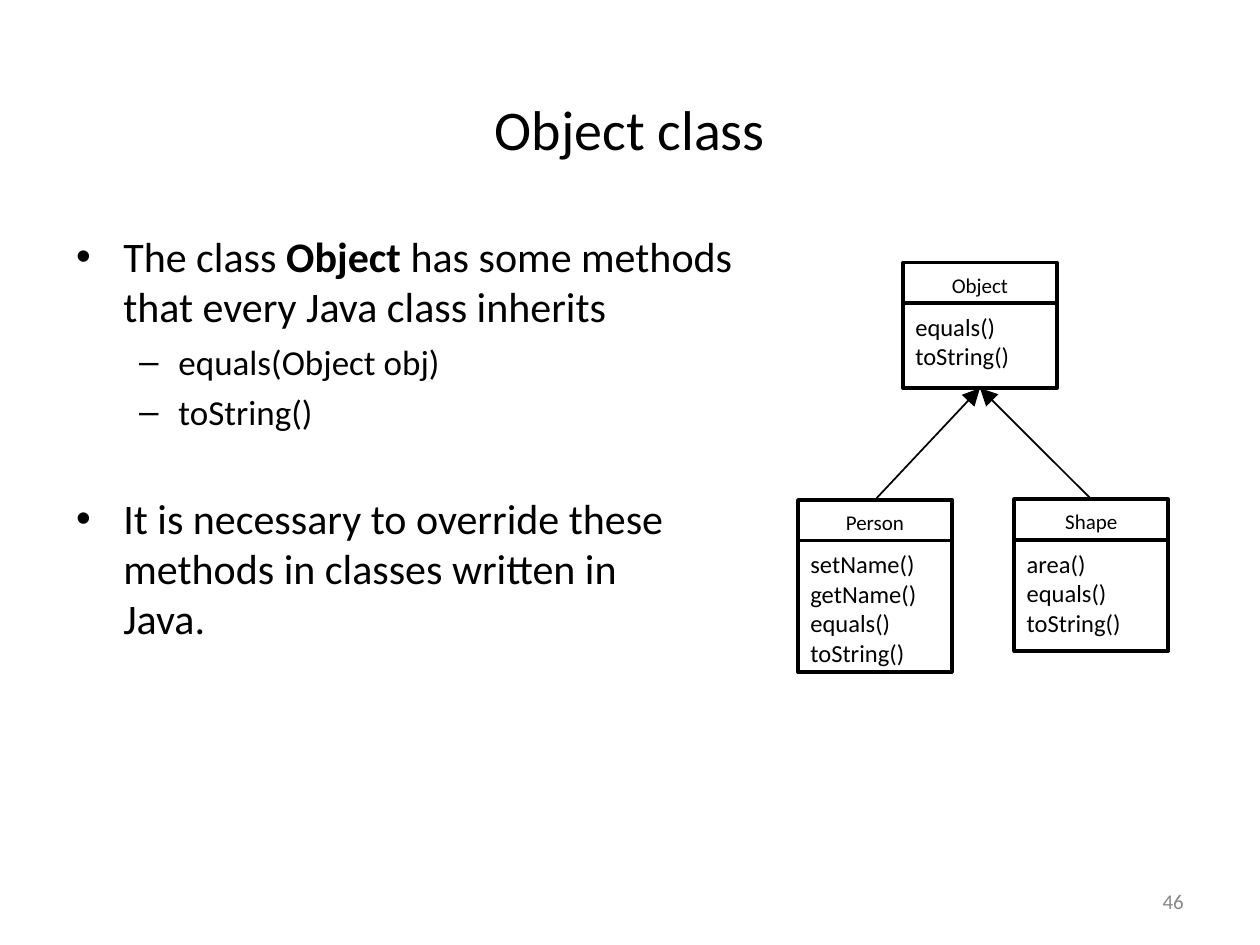
from pptx import Presentation
from pptx.enum import shapes, text
from pptx.oxml.ns import qn
from pptx.util import Pt
from lxml import etree

TITLE = "Object class"
BULLET_BLOCKS = [
    {"box": (42.5, 132, 377, 114), "lines": [
        ("•", "The class *Object* has some methods that every Java class inherits"),
        ("–", "equals(Object obj)"),
        ("–", "toString()"),
    ]},
    {"box": (42.5, 281.5, 355, 86), "lines": [
        ("•", "It is necessary to override these methods in classes written in Java."),
    ]},
]
LEVELS = {
    "•": {"size": 24, "left": 28, "hang": 27, "before": 0, "spacing": Pt(28.7)},
    "–": {"size": 20, "left": 59.5, "hang": 22.5, "before": 5, "spacing": 1.0},
}
CLASSES = {
    "Object": {"at": (516, 150), "height": 48.5, "methods": ["equals()", "toString()"]},
    "Person": {"at": (456, 285.7), "height": 75,
               "methods": ["setName()", "getName()", "equals()", "toString()"]},
    "Shape": {"at": (579.6, 285.3), "height": 63.5,
              "methods": ["area()", "equals()", "toString()"]},
}
INHERITANCE = [("Person", "Object"), ("Shape", "Object")]
PAGE = "46"
COLORS = {"ink": "000000", "page": "898989"}
FONT = "Calibri"
CLASS_WIDTH, NAME_HEIGHT = 88, 23.3


def write(shape, lines, size=14, color="ink", align=text.PP_ALIGN.LEFT,
          anchor=text.MSO_ANCHOR.TOP, insets=(0, 0, 0, 0)):
    frame = shape.text_frame
    frame.word_wrap = True
    frame.auto_size = text.MSO_AUTO_SIZE.NONE
    frame.vertical_anchor = anchor
    (frame.margin_left, frame.margin_top,
     frame.margin_right, frame.margin_bottom) = map(Pt, insets)
    for index, line in enumerate(lines):
        paragraph = frame.add_paragraph() if index else frame.paragraphs[0]
        paragraph.alignment = align
        for part, words in enumerate(line.split("*")):
            run = paragraph.add_run()
            run.text = words
            run.font.name = FONT
            run.font.size = Pt(size)
            run.font.bold = part % 2 == 1
            run.font.color.rgb = RGBColor.from_string(COLORS[color])
    return frame


def set_bullet(paragraph, mark):
    level = LEVELS[mark]
    paragraph.line_spacing = level["spacing"]
    paragraph.space_before = Pt(level["before"])
    for run in paragraph.runs:
        run.font.size = Pt(level["size"])
    properties = paragraph._p.get_or_add_pPr()
    properties.set("marL", str(Pt(level["left"])))
    properties.set("indent", str(-Pt(level["hang"])))
    etree.SubElement(properties, qn("a:buFont"), typeface="Arial")
    etree.SubElement(properties, qn("a:buChar"), char=mark)


def add_compartment(slide, box, lines, **text_format):
    compartment = slide.shapes.add_shape(shapes.MSO_SHAPE.RECTANGLE, *map(Pt, box))
    compartment.shadow.inherit = False
    compartment.fill.background()
    compartment.line.color.rgb = RGBColor.from_string(COLORS["ink"])
    compartment.line.width = Pt(2)
    write(compartment, lines, **text_format)
    return compartment


def add_class(slide, name, details):
    left, top = details["at"]
    heading = add_compartment(
        slide, (left, top, CLASS_WIDTH, NAME_HEIGHT), [name], size=12,
        align=text.PP_ALIGN.CENTER, anchor=text.MSO_ANCHOR.MIDDLE, insets=(0, 2, 0, 0))
    methods = add_compartment(
        slide, (left, top + NAME_HEIGHT, CLASS_WIDTH, details["height"]),
        details["methods"], insets=(7.2, 5, 0, 0))
    return heading, methods


def add_inheritance(slide, child, parent):
    arrow = slide.shapes.add_connector(shapes.MSO_CONNECTOR.STRAIGHT, 0, 0, 0, 0)
    arrow.begin_connect(child, 0)
    arrow.end_connect(parent, 2)
    arrow.line.color.rgb = RGBColor.from_string(COLORS["ink"])
    arrow.line.width = Pt(1)
    etree.SubElement(arrow.line._get_or_add_ln(), qn("a:tailEnd"),
                     type="triangle", w="lg", len="lg")
    etree.SubElement(arrow._element.spPr, qn("a:effectLst"))


from pptx.dml.color import RGBColor


def main():
    deck = Presentation()
    deck.slide_width, deck.slide_height = Pt(720), Pt(540)
    slide = deck.slides.add_slide(deck.slide_layouts[5])

    title = slide.shapes.title
    title.left, title.top, title.width, title.height = map(Pt, (115, 38, 490, 70))
    write(title, [TITLE], size=32, align=text.PP_ALIGN.CENTER,
          anchor=text.MSO_ANCHOR.MIDDLE)

    for block in BULLET_BLOCKS:
        body = slide.shapes.add_textbox(*map(Pt, block["box"]))
        frame = write(body, [words for _, words in block["lines"]])
        for paragraph, (mark, _) in zip(frame.paragraphs, block["lines"]):
            set_bullet(paragraph, mark)

    drawn = {name: add_class(slide, name, details) for name, details in CLASSES.items()}
    for child, parent in INHERITANCE:
        add_inheritance(slide, drawn[child][0], drawn[parent][1])

    page = slide.shapes.add_textbox(*map(Pt, (636, 508, 40.5, 18)))
    write(page, [PAGE], size=12, color="page", align=text.PP_ALIGN.RIGHT)

    deck.save("out.pptx")


if __name__ == "__main__":
    main()
